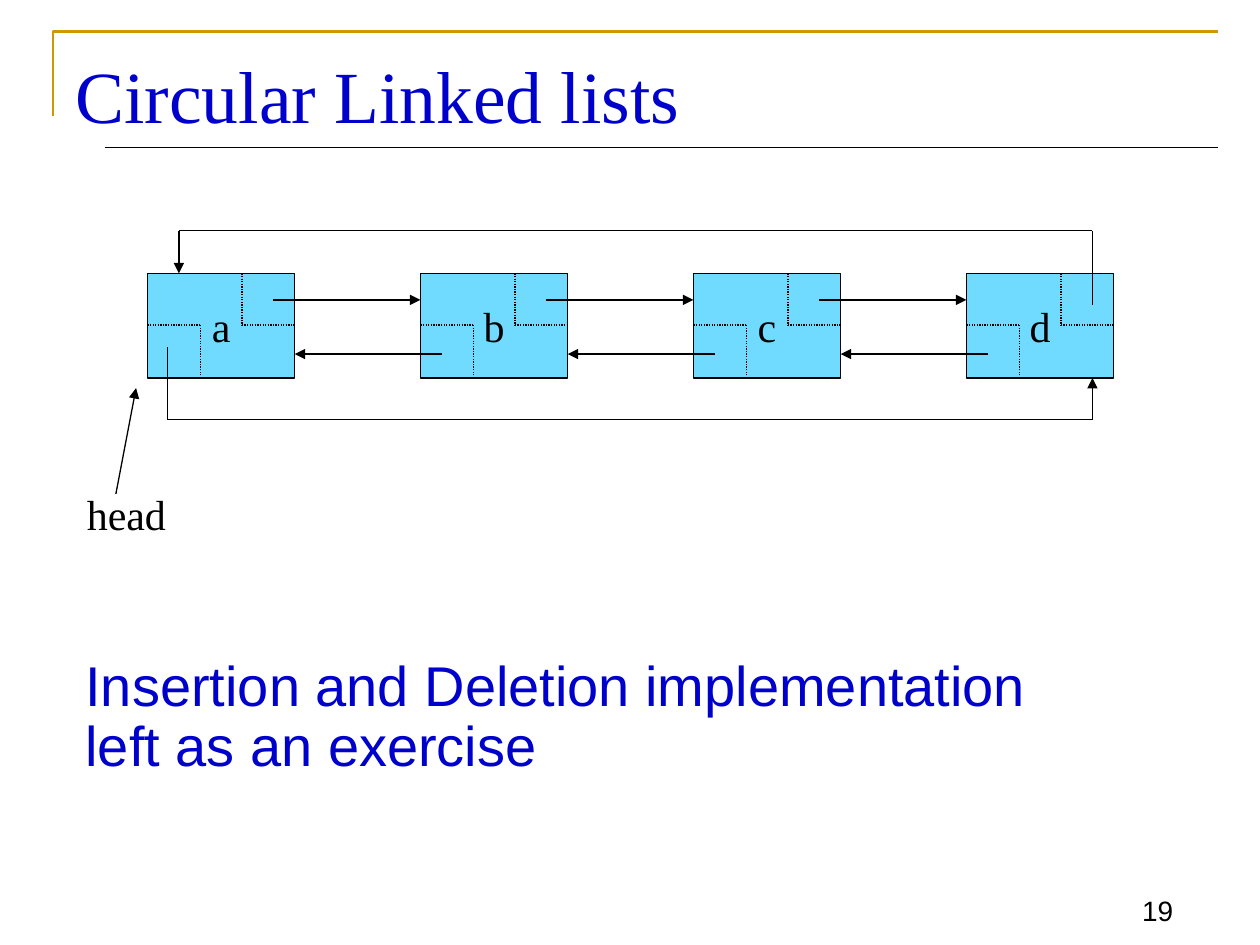
"""Build a slide that shows a circular doubly linked list of four nodes."""
from dataclasses import dataclass
from itertools import pairwise

import pptx
import pptx.dml.color
import pptx.enum.dml
import pptx.enum.shapes
import pptx.enum.text
import pptx.oxml
import pptx.oxml.ns
import pptx.util
from pptx.util import Inches

COLORS = {"ink": "000000", "node": "71DAFF", "heading": "0000CC", "frame": "CC9900"}
SERIF, SANS = "Times New Roman", "Arial"
ALIGN = pptx.enum.text.PP_ALIGN
ANCHOR = pptx.enum.text.MSO_ANCHOR
Point = tuple[float, float]

NODE_WIDTH, NODE_HEIGHT = 1.17, 0.83
NODE_TOP, NODE_MIDDLE, NODE_BOTTOM = 2.17, 2.58, 3.0
FIRST_LEFT, PITCH = 1.17, 6.5 / 3
FIELD_WIDTH = 0.42
NEXT_Y, PREVIOUS_Y = 2.38, 2.81


@dataclass
class Node:
    """A list node: its label and left edge."""
    label: str
    left: float

    @property
    def right(self) -> float:
        """Return the right edge."""
        return self.left + NODE_WIDTH


@dataclass
class Label:
    """A block of text with its box and style."""
    text: str
    box: tuple[float, float, float, float]
    size: float
    font: str
    color: str = "ink"
    align: ALIGN = ALIGN.LEFT
    anchor: ANCHOR = ANCHOR.TOP
    line_spacing: float = 1.0


def rgb(name: str) -> pptx.dml.color.RGBColor:
    """Return the named colour."""
    return pptx.dml.color.RGBColor.from_string(COLORS[name])


def write(shape, label: Label) -> None:
    """Put the label's text into a shape."""
    frame = shape.text_frame
    frame.text = label.text
    frame.word_wrap = True
    frame.auto_size = pptx.enum.text.MSO_AUTO_SIZE.NONE
    frame.vertical_anchor = label.anchor
    paragraph = frame.paragraphs[0]
    paragraph.alignment = label.align
    paragraph.line_spacing = label.line_spacing
    paragraph.font.size = pptx.util.Pt(label.size)
    paragraph.font.name = label.font
    paragraph.font.color.rgb = rgb(label.color)


def draw_label(slide, label: Label) -> None:
    """Add a text box for the label."""
    write(slide.shapes.add_textbox(*map(Inches, label.box)), label)


def draw_route(slide, points: list[Point], arrow: bool = False, dotted: bool = False) -> None:
    """Draw straight lines through the points, with an optional arrowhead at the end."""
    for start, end in pairwise(points):
        connector = slide.shapes.add_connector(
            pptx.enum.shapes.MSO_CONNECTOR.STRAIGHT, *map(Inches, (*start, *end)))
        connector.line.color.rgb = rgb("ink")
        connector.line.width = pptx.util.Pt(0.75)
        if dotted:
            connector.line.dash_style = pptx.enum.dml.MSO_LINE.ROUND_DOT
        if arrow and end == points[-1]:
            head = pptx.oxml.parse_xml(
                f'<a:tailEnd {pptx.oxml.ns.nsdecls("a")} type="triangle"/>')
            connector.line._get_or_add_ln().append(head)
        effects = pptx.oxml.parse_xml(f'<a:effectLst {pptx.oxml.ns.nsdecls("a")}/>')
        connector._element.spPr.append(effects)


def draw_node(slide, node: Node) -> None:
    """Draw a node with its dotted pointer fields."""
    box = (node.left, NODE_TOP, NODE_WIDTH, NODE_HEIGHT)
    shape = slide.shapes.add_shape(
        pptx.enum.shapes.MSO_SHAPE.RECTANGLE, *map(Inches, box))
    shape.shadow.inherit = False
    shape.fill.solid()
    shape.fill.fore_color.rgb = rgb("node")
    shape.line.color.rgb = rgb("ink")
    shape.line.width = pptx.util.Pt(0.75)
    write(shape, Label(node.label, box, 24, SERIF, align=ALIGN.CENTER, anchor=ANCHOR.MIDDLE))
    next_x, previous_x = node.right - FIELD_WIDTH, node.left + FIELD_WIDTH
    draw_route(slide, [(next_x, NODE_TOP), (next_x, NODE_MIDDLE),
                       (node.right, NODE_MIDDLE)], dotted=True)
    draw_route(slide, [(previous_x, NODE_BOTTOM), (previous_x, NODE_MIDDLE),
                       (node.left, NODE_MIDDLE)], dotted=True)


def draw_frame(slide) -> None:
    """Draw the corner line and the rule around the title."""
    builder = slide.shapes.build_freeform(Inches(0.42), Inches(0.92))
    builder.add_line_segments(
        [(Inches(0.42), Inches(0.25)), (Inches(9.67), Inches(0.25))], close=False)
    corner = builder.convert_to_shape()
    corner.shadow.inherit = False
    corner.fill.background()
    corner.line.color.rgb = rgb("frame")
    corner.line.width = pptx.util.Pt(1.5)
    draw_route(slide, [(0.83, 1.17), (9.67, 1.17)])


def draw_list(slide) -> None:
    """Draw the nodes and every link between them."""
    nodes = [Node(label, FIRST_LEFT + i * PITCH) for i, label in enumerate("abcd")]
    for node in nodes:
        draw_node(slide, node)
    for node, follower in pairwise(nodes):
        draw_route(slide, [(node.left + 1, NEXT_Y), (follower.left, NEXT_Y)], arrow=True)
        draw_route(slide, [(follower.left + 0.17, PREVIOUS_Y), (node.right, PREVIOUS_Y)],
                   arrow=True)
    last_x = nodes[-1].left + 1
    draw_route(slide, [(last_x, 2.42), (last_x, 1.83), (1.42, 1.83), (1.42, NODE_TOP)],
               arrow=True)
    draw_route(slide, [(1.33, 2.75), (1.33, 3.33), (last_x, 3.33), (last_x, NODE_BOTTOM)],
               arrow=True)
    draw_route(slide, [(0.92, 3.92), (1.08, 3.08)], arrow=True)


def main() -> None:
    """Build and save the slide."""
    deck = pptx.Presentation()
    deck.slide_width, deck.slide_height = Inches(10), Inches(7.5)
    slide = deck.slides.add_slide(deck.slide_layouts[5])
    heading = Label("Circular Linked lists", (0.5, 0.33, 9, 0.83), 42, SERIF, "heading",
                    anchor=ANCHOR.MIDDLE)
    title = slide.shapes.title
    title.left, title.top, title.width, title.height = map(Inches, heading.box)
    write(title, heading)
    draw_frame(slide)
    draw_list(slide)
    for label in (
        Label("head", (0.59, 3.83, 1.08, 0.5), 24, SERIF),
        Label("Insertion and Deletion implementation left as an exercise",
              (0.58, 5.17, 7.92, 1.25), 32, SANS, "heading", line_spacing=0.9),
        Label("19", (8.75, 6.92, 0.66, 0.49), 16, SANS, align=ALIGN.RIGHT,
              anchor=ANCHOR.BOTTOM),
    ):
        draw_label(slide, label)
    deck.save("out.pptx")


if __name__ == "__main__":
    main()
